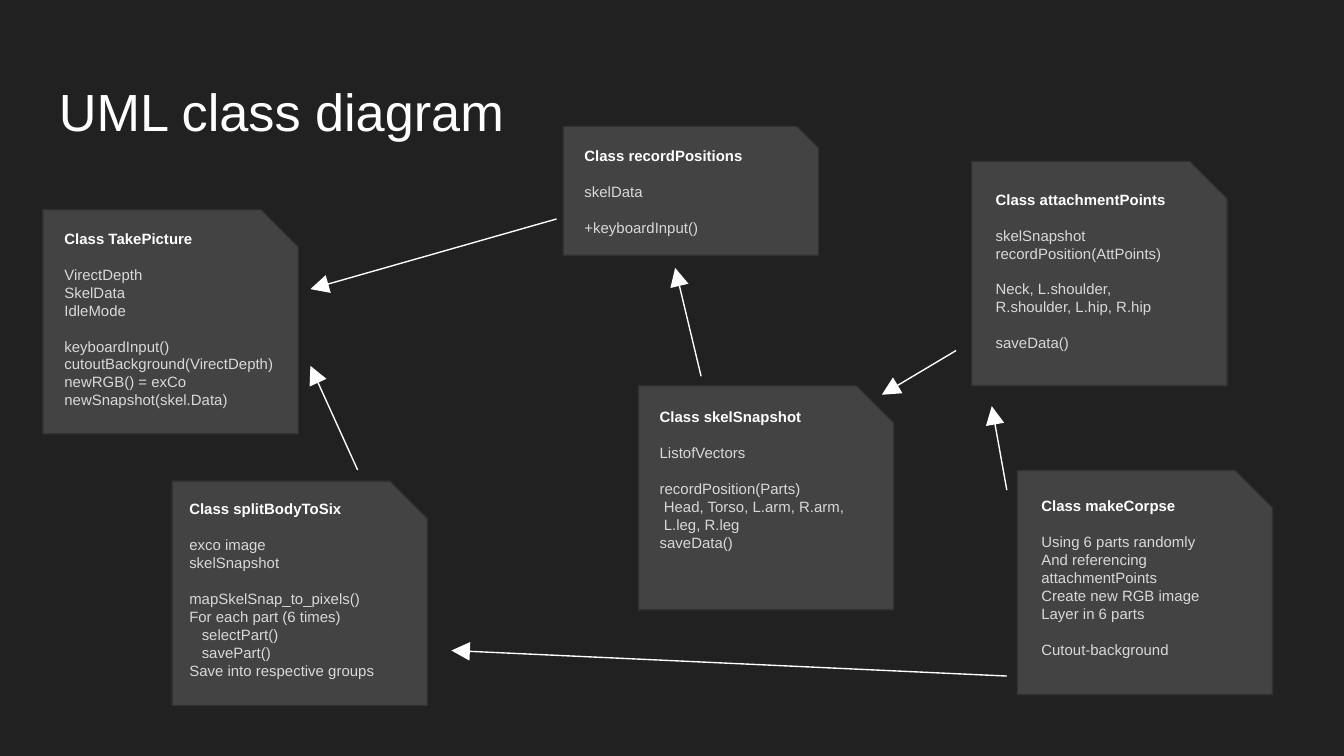
from typing import NamedTuple

from lxml.etree import SubElement
from pptx import Presentation
from pptx.dml.color import RGBColor
from pptx.enum.shapes import MSO_CONNECTOR as Connector
from pptx.enum.shapes import MSO_SHAPE as Shape
from pptx.enum.text import MSO_ANCHOR as Anchor
from pptx.oxml.ns import qn
from pptx.slide import Slide
from pptx.util import Pt

BACKGROUND = RGBColor(0x21, 0x21, 0x21)
CARD_FILL = RGBColor(0x43, 0x43, 0x43)
CARD_LINE = RGBColor(0x30, 0x30, 0x30)
WHITE = RGBColor(0xFF, 0xFF, 0xFF)
BODY_COLOR = RGBColor(0xD9, 0xD9, 0xD9)

FONT = "Arial"
LINE_WIDTH = 0.75
INSET = 7.2
CARD_WIDTH = 136.8
BODY_SIZE = 8
LINE_PITCH = 9.6


class Box(NamedTuple):
    left: float
    top: float
    width: float
    height: float


class Line(NamedTuple):
    text: str
    indent: float = 0


class ClassCard(NamedTuple):
    name: str
    left: float
    top: float
    height: float
    text_box: Box
    sections: list[list[Line]]


class Arrow(NamedTuple):
    start_x: float
    start_y: float
    end_x: float
    end_y: float


CARDS = [
    ClassCard("skelSnapshot", 342, 206.6, 120.2, Box(346.3, 211.4, 130.3, 110.2), [
        [Line("ListofVectors")],
        [Line("recordPosition(Parts)"), Line("Head, Torso, L.arm, R.arm,", 2.2),
         Line("L.leg, R.leg", 2.2), Line("saveData()")],
    ]),
    ClassCard("attachmentPoints", 520.6, 86.4, 120.2, Box(526.3, 94.8, 113, 105.1), [
        [Line("skelSnapshot"), Line("recordPosition(AttPoints)")],
        [Line("Neck, L.shoulder, R.shoulder, L.hip, R.hip")],
        [Line("saveData()")],
    ]),
    ClassCard("makeCorpse", 545, 252, 120.2, Box(550.8, 258.9, 113, 113.8), [
        [Line("Using 6 parts randomly"), Line("And referencing attachmentPoints"),
         Line("Create new RGB image"), Line("Layer in 6 parts")],
        [Line("Cutout-background")],
    ]),
    ClassCard("splitBodyToSix", 92.2, 257.8, 120.2, Box(94.3, 260.6, 162, 73.4), [
        [Line("exco image"), Line("skelSnapshot")],
        [Line("mapSkelSnap_to_pixels()"), Line("For each part (6 times)"),
         Line("selectPart()", 6.7), Line("savePart()", 6.7),
         Line("Save into respective groups")],
    ]),
    ClassCard("TakePicture", 23, 112.3, 120.2, Box(27.4, 115.7, 130.3, 73.4), [
        [Line("VirectDepth"), Line("SkelData"), Line("IdleMode")],
        [Line("keyboardInput()"), Line("cutoutBackground(VirectDepth)"),
         Line("newRGB() = exCo"), Line("newSnapshot(skel.Data)")],
    ]),
    ClassCard("recordPositions", 301.7, 67.7, 69.1, Box(306, 71.3, 162, 69.1), [
        [Line("skelData")],
        [Line("+keyboardInput()")],
    ]),
]

ARROWS = [
    Arrow(298.2, 117.3, 166.3, 154.9),  # recordPositions to TakePicture
    Arrow(512.2, 187.8, 472.4, 211.5),  # attachmentPoints to skelSnapshot
    Arrow(375.6, 201.6, 361.7, 143.5),  # skelSnapshot to recordPositions
    Arrow(539.4, 262.6, 531.3, 217.6),  # makeCorpse to attachmentPoints
    Arrow(191.6, 251.8, 166.3, 196),    # splitBodyToSix to TakePicture
    Arrow(539.4, 362.2, 241.8, 348.5),  # makeCorpse to splitBodyToSix
]


def add_text_frame(slide: Slide, box: Box):
    frame = slide.shapes.add_textbox(*map(Pt, box)).text_frame
    frame.word_wrap = True
    frame.vertical_anchor = Anchor.TOP
    frame.margin_left = frame.margin_right = Pt(INSET)
    frame.margin_top = frame.margin_bottom = Pt(INSET)
    return frame


def write(paragraph, text: str, *, size: float, color: RGBColor, bold: bool = False,
          pitch: float | None = None, before: float = 0, indent: float = 0) -> None:
    run = paragraph.add_run()
    run.text = text
    run.font.name = FONT
    run.font.size = Pt(size)
    run.font.bold = bold
    run.font.color.rgb = color
    paragraph.space_before = Pt(before)
    if pitch:
        paragraph.line_spacing = Pt(pitch)
    if indent:
        paragraph._p.get_or_add_pPr().set("marL", str(Pt(indent)))


def draw_card(slide: Slide, card: ClassCard) -> None:
    shape = slide.shapes.add_shape(Shape.SNIP_1_RECTANGLE, Pt(card.left), Pt(card.top),
                                   Pt(CARD_WIDTH), Pt(card.height))
    shape.adjustments[0] = 1 / 6
    shape.shadow.inherit = False
    shape.fill.solid()
    shape.fill.fore_color.rgb = CARD_FILL
    shape.line.color.rgb = CARD_LINE
    shape.line.width = Pt(LINE_WIDTH)

    frame = add_text_frame(slide, card.text_box)
    write(frame.paragraphs[0], f"Class {card.name}", size=BODY_SIZE, color=WHITE,
          bold=True, pitch=LINE_PITCH)
    # Each section starts one line below the text above it
    for section in card.sections:
        for index, line in enumerate(section):
            write(frame.add_paragraph(), line.text, size=BODY_SIZE, color=BODY_COLOR,
                  pitch=LINE_PITCH, before=0 if index else LINE_PITCH,
                  indent=line.indent)


def draw_arrow(slide: Slide, arrow: Arrow) -> None:
    connector = slide.shapes.add_connector(Connector.STRAIGHT, *map(Pt, arrow))
    connector.line.color.rgb = WHITE
    connector.line.width = Pt(LINE_WIDTH)
    line = connector.line._get_or_add_ln()
    SubElement(line, qn("a:tailEnd"), type="triangle", w="lg", len="lg")
    SubElement(connector._element.spPr, qn("a:effectLst"))


def main() -> None:
    presentation = Presentation()
    presentation.slide_width = Pt(720)
    presentation.slide_height = Pt(405)
    slide = presentation.slides.add_slide(presentation.slide_layouts[6])
    slide.background.fill.solid()
    slide.background.fill.fore_color.rgb = BACKGROUND

    # Title
    title = add_text_frame(slide, Box(24.5, 35.3, 671, 45.4))
    write(title.paragraphs[0], "UML class diagram", size=28, color=WHITE)

    # Class cards, then the arrows between them
    for card in CARDS:
        draw_card(slide, card)
    for arrow in ARROWS:
        draw_arrow(slide, arrow)

    presentation.save("out.pptx")


if __name__ == "__main__":
    main()
